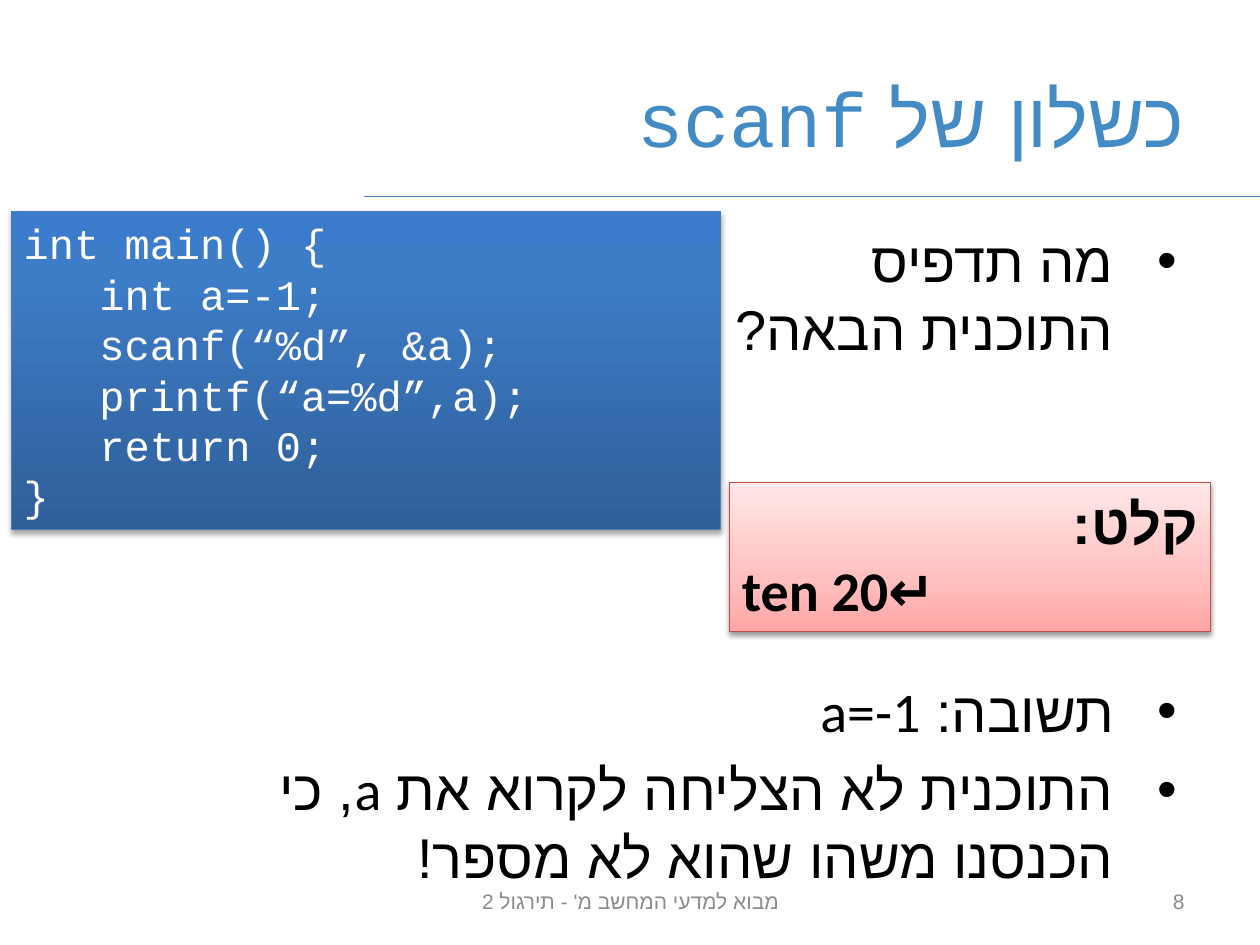
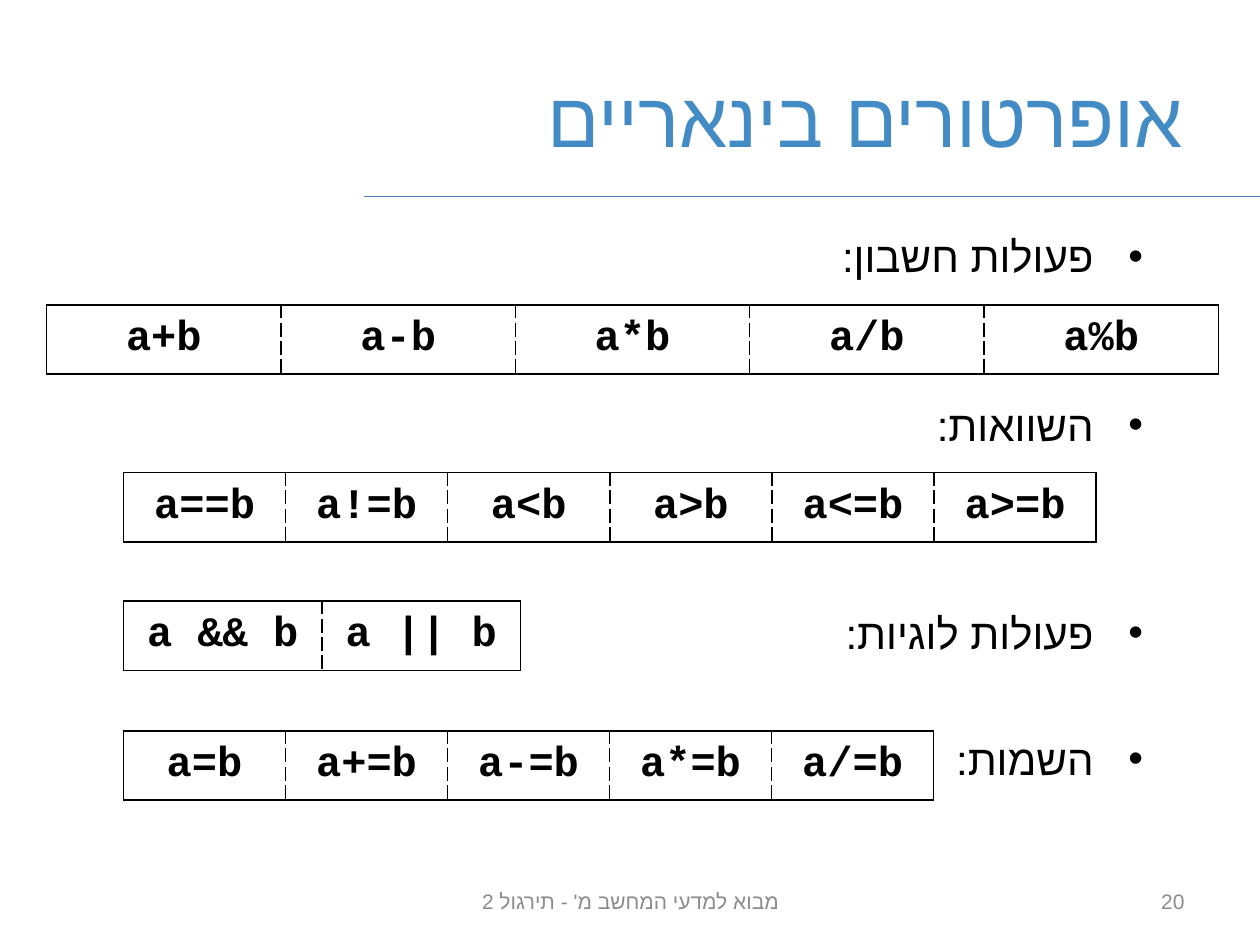
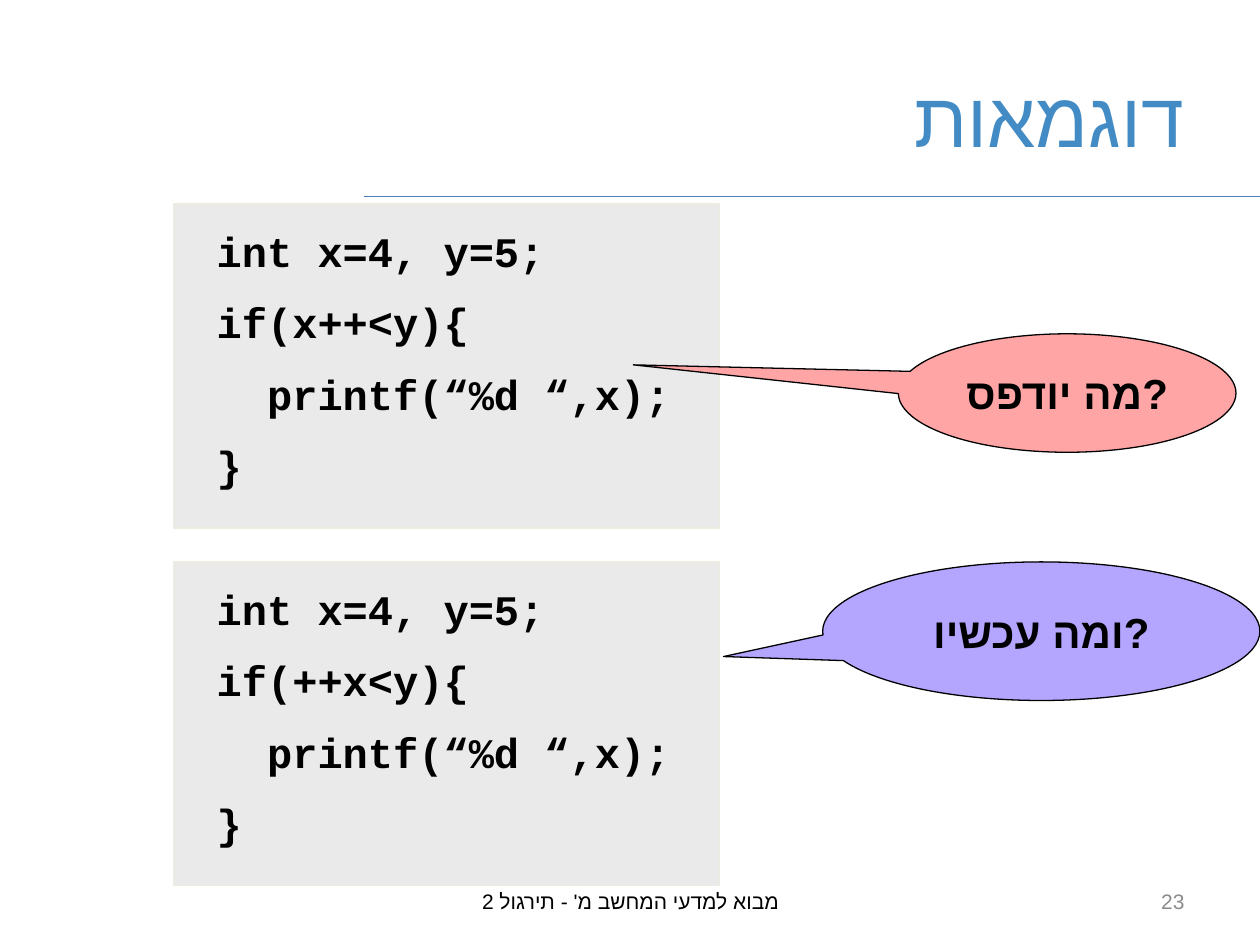
from dataclasses import dataclass

from lxml.etree import SubElement
from pptx import Presentation
from pptx.dml.color import RGBColor
from pptx.enum.shapes import MSO_CONNECTOR, MSO_SHAPE
from pptx.enum.text import MSO_ANCHOR as Anchor, MSO_AUTO_SIZE as AutoSize, PP_ALIGN as Align
from pptx.oxml.ns import qn
from pptx.util import Emu, Inches, Pt


@dataclass(frozen=True)
class Theme:
    title: str = "438BC4"
    rule: str = "4B7EBC"
    ink: str = "000000"
    white: str = "FFFFFF"
    muted: str = "8C8C8C"
    crimson: str = "BF4C48"
    panel: str = "EAEAEA"
    panel_edge: str = "EEECE1"
    pink: str = "FFA5A5"
    violet: str = "B4A5FF"
    blue_gradient: tuple = ((0, "2F5F99"), (80, "3D7CC7"), (100, "3A7CCB"))
    red_gradient: tuple = ((0, "FFA6A5"), (35, "FFC0BF"), (100, "FFE7E7"))
    sans: str = "Arial"
    body: str = "Calibri"
    serif: str = "Times New Roman"
    code: str = "Courier New"
    title_size: int = 44
    body_size: int = 32
    code_size: int = 24
    footer_size: int = 12
    thin: float = 0.75


THEME = Theme()
FOOTER = "מבוא למדעי המחשב מ' - תירגול 2"
CODE_LINES = ["int x=4, y=5;", "if({}<y){{", "  printf(“%d “,x);", "}}"]


def rgb(value):
    return RGBColor.from_string(value)


def place(shape, left, top, width, height):
    shape.left, shape.top = Inches(left), Inches(top)
    shape.width, shape.height = Inches(width), Inches(height)


def style_runs(para, font, size, color=THEME.ink, bold=False):
    for run in para.runs:
        run.font.name, run.font.size, run.font.bold = font, Pt(size), bold
        run.font.color.rgb = rgb(color)
        SubElement(run._r.get_or_add_rPr(), qn("a:cs")).set("typeface", THEME.sans)


def set_rtl(para, align=Align.RIGHT):
    para.alignment = align
    para._p.get_or_add_pPr().set("rtl", "1")


def add_bullet(para, margin, hanging):
    props = para._p.get_or_add_pPr()
    props.set("marL", str(Inches(margin)))
    props.set("indent", str(-Inches(hanging)))
    SubElement(props, qn("a:buFont")).set("typeface", THEME.sans)
    SubElement(props, qn("a:buChar")).set("char", "•")


def write_lines(frame, lines, gap=0):
    """Fill the frame with one paragraph per line, gap points apart."""
    frame.word_wrap = True
    frame.auto_size = AutoSize.NONE
    frame.text = "\n".join(lines)
    for index, para in enumerate(frame.paragraphs):
        para.space_before = Pt(gap if index else 0)
    return frame.paragraphs


def write_bullets(frame, lines, font, size, margin, hanging):
    for para in write_lines(frame, lines, gap=size / 5):
        set_rtl(para)
        add_bullet(para, margin, hanging)
        style_runs(para, font, size)


def add_text_box(slide, *area):
    return slide.shapes.add_textbox(*map(Inches, area)).text_frame


def add_footer_text(slide, area, text, align, color):
    frame = add_text_box(slide, *area)
    frame.vertical_anchor = Anchor.MIDDLE
    para = write_lines(frame, [text])[0]
    set_rtl(para, align)
    style_runs(para, THEME.body, THEME.footer_size, color)


def add_slide(deck, layout, title, number, footer_color=THEME.muted):
    """Add a slide with its title, rule, footer and number; title is a list of (text, font)."""
    slide = deck.slides.add_slide(deck.slide_layouts.get_by_name(layout))
    rule = slide.shapes.add_connector(
        MSO_CONNECTOR.STRAIGHT, Inches(10), Inches(1.56), Inches(2.89), Inches(1.56))
    rule.line.color.rgb, rule.line.width = rgb(THEME.rule), Pt(THEME.thin)
    SubElement(rule._element.spPr, qn("a:effectLst"))

    place(slide.shapes.title, 0.5, 0.3, 9, 1.25)
    frame = slide.shapes.title.text_frame
    frame.vertical_anchor = Anchor.MIDDLE
    para = frame.paragraphs[0]
    set_rtl(para)
    for text, _ in title:
        para.add_run().text = text
    style_runs(para, THEME.sans, THEME.title_size, THEME.title)
    for run, (_, font) in zip(para.runs, title):
        run.font.name = font

    add_footer_text(slide, (3.42, 6.95, 3.17, 0.4), FOOTER, Align.CENTER, footer_color)
    add_footer_text(slide, (7.17, 6.95, 2.33, 0.4), str(number), Align.RIGHT, THEME.muted)
    return slide


def add_box(slide, kind, area, line, fill=None):
    box = slide.shapes.add_shape(kind, *map(Inches, area))
    box.shadow.inherit = False
    box.line.color.rgb, box.line.width = rgb(line), Pt(THEME.thin)
    if fill:
        box.fill.solid()
        box.fill.fore_color.rgb = rgb(fill)
    box.text_frame.vertical_anchor = Anchor.TOP
    return box


def add_gradient_box(slide, area, line, stops, shadow_percent):
    """Add a rectangle shaded from bottom to top, with a soft shadow below it."""
    box = add_box(slide, MSO_SHAPE.RECTANGLE, area, line)
    box.fill.gradient()
    box.fill.gradient_angle = 90
    props = box._element.spPr
    stop_list = props.find(".//" + qn("a:gsLst"))
    for stop in list(stop_list):
        stop_list.remove(stop)
    for position, color in stops:
        stop = SubElement(stop_list, qn("a:gs"), pos=str(position * 1000))
        SubElement(stop, qn("a:srgbClr"), val=color)
    shadow = SubElement(props.find(qn("a:effectLst")), qn("a:outerShdw"), blurRad=str(Pt(3.1)),
                        dist=str(Pt(1.8)), dir="5400000", rotWithShape="0")
    shade = SubElement(shadow, qn("a:srgbClr"), val=THEME.ink)
    SubElement(shade, qn("a:alpha"), val=str(shadow_percent * 1000))
    return box


def write_code(box, lines, color=THEME.ink, bold=False, gap=0):
    for para in write_lines(box.text_frame, lines, gap):
        para.alignment = Align.LEFT
        style_runs(para, THEME.code, THEME.code_size, color, bold)


def add_code_panel(slide, top, condition):
    area = (1.38, top, 4.33, 2.57)
    box = add_box(slide, MSO_SHAPE.RECTANGLE, area, THEME.panel_edge, THEME.panel)
    frame = box.text_frame
    frame.margin_left = frame.margin_right = Inches(0.34)
    frame.margin_top = frame.margin_bottom = Inches(0.17)
    write_code(box, [line.format(condition) for line in CODE_LINES], bold=True, gap=12)


def add_callout(slide, area, tip, fill, text):
    box = add_box(slide, MSO_SHAPE.OVAL_CALLOUT, area, THEME.ink, fill)
    box.adjustments[0], box.adjustments[1] = tip
    box.text_frame.vertical_anchor = Anchor.MIDDLE
    para = write_lines(box.text_frame, [text])[0]
    para.alignment = Align.CENTER
    style_runs(para, THEME.sans, THEME.code_size, bold=True)


def set_borders(cell, dashed_sides):
    props = cell._tc.get_or_add_tcPr()
    for index, side in enumerate("LRTB"):
        border = SubElement(props, qn("a:ln" + side), w=str(Pt(1)))
        fill = SubElement(border, qn("a:solidFill"))
        SubElement(fill, qn("a:srgbClr"), val=THEME.ink)
        SubElement(border, qn("a:prstDash"), val="sysDash" if side in dashed_sides else "solid")
        props.insert(index, border)


def add_operator_row(slide, left, top, width, operators):
    """Add a one-row table with a solid frame and dashed dividers."""
    last = len(operators) - 1
    table = slide.shapes.add_table(
        1, len(operators), Inches(left), Inches(top), Inches(width), Inches(0.55)).table
    table.first_row = table.horz_banding = False
    for index, operator in enumerate(operators):
        table.columns[index].width = Emu(Inches(width) // len(operators))
        cell = table.cell(0, index)
        cell.fill.background()
        cell.vertical_anchor = Anchor.MIDDLE
        cell.text_frame.text = operator
        para = cell.text_frame.paragraphs[0]
        para.alignment = Align.CENTER
        style_runs(para, THEME.code, THEME.code_size, bold=True)
        set_borders(cell, ("L" if index else "") + ("R" if index < last else ""))


def build_scanf_slide(deck):
    title = [("כשלון של ", THEME.sans), ("scanf", THEME.code)]
    slide = add_slide(deck, "Title and Content", title, 8)
    question = slide.placeholders[1]
    place(question, 5.72, 1.75, 3.78, 3.39)
    write_bullets(question.text_frame, ["מה תדפיס התוכנית הבאה?"],
                  THEME.body, THEME.body_size, 0.56, 0.5)

    program = add_gradient_box(slide, (0.09, 1.68, 5.63, 2.52), THEME.rule, THEME.blue_gradient, 35)
    write_code(program, ["int main() {", "   int a=-1;", "   scanf(“%d”, &a);",
                         "   printf(“a=%d”,a);", "   return 0;", "}"], THEME.white)

    entry = add_gradient_box(slide, (5.79, 3.83, 3.82, 1.18), THEME.crimson, THEME.red_gradient, 38)
    label, typed = write_lines(entry.text_frame, ["קלט:", "ten 20↵"])
    set_rtl(label)
    typed.alignment = Align.LEFT
    for para in (label, typed):
        style_runs(para, THEME.body, THEME.body_size, bold=True)

    answer = ["תשובה: a=-1", "התוכנית לא הצליחה לקרוא את a, כי הכנסנו משהו שהוא לא מספר!"]
    write_bullets(add_text_box(slide, 0.91, 5.32, 8.59, 1.69), answer,
                  THEME.body, THEME.body_size, 0.56, 0.5)


def build_operators_slide(deck):
    slide = add_slide(deck, "Title Only", [("אופרטורים בינאריים", THEME.sans)], 20)
    groups = [
        ("פעולות חשבון:", 1.78, (0.37, 2.42, 9.3), ["a+b", "a-b", "a*b", "a/b", "a%b"]),
        ("השוואות:", 3.12, (0.98, 3.75, 7.72), ["a==b", "a!=b", "a<b", "a>b", "a<=b", "a>=b"]),
        ("פעולות לוגיות:", 4.77, (0.98, 4.77, 3.15), ["a && b", "a || b"]),
        ("השמות:", 5.77, (0.98, 5.8, 6.43), ["a=b", "a+=b", "a-=b", "a*=b", "a/=b"]),
    ]
    for heading, top, row_area, operators in groups:
        write_bullets(add_text_box(slide, 1.53, top, 7.64, 0.5), [heading],
                      THEME.serif, THEME.code_size, 0.39, 0.39)
        add_operator_row(slide, *row_area, operators)


def build_examples_slide(deck):
    slide = add_slide(deck, "Title Only", [("דוגמאות", THEME.sans)], 23, THEME.ink)
    add_code_panel(slide, 1.62, "x++")
    add_code_panel(slide, 4.46, "++x")
    add_callout(slide, (7.13, 2.65, 2.68, 0.94), (-1.285, -0.238), THEME.pink, "מה יודפס?")
    add_callout(slide, (6.53, 4.46, 3.47, 1.1), (-0.727, 0.183), THEME.violet, "ומה עכשיו?")


def main():
    deck = Presentation()
    deck.slide_width, deck.slide_height = Inches(10), Inches(7.5)
    build_scanf_slide(deck)
    build_operators_slide(deck)
    build_examples_slide(deck)
    deck.save("out.pptx")


if __name__ == "__main__":
    main()
